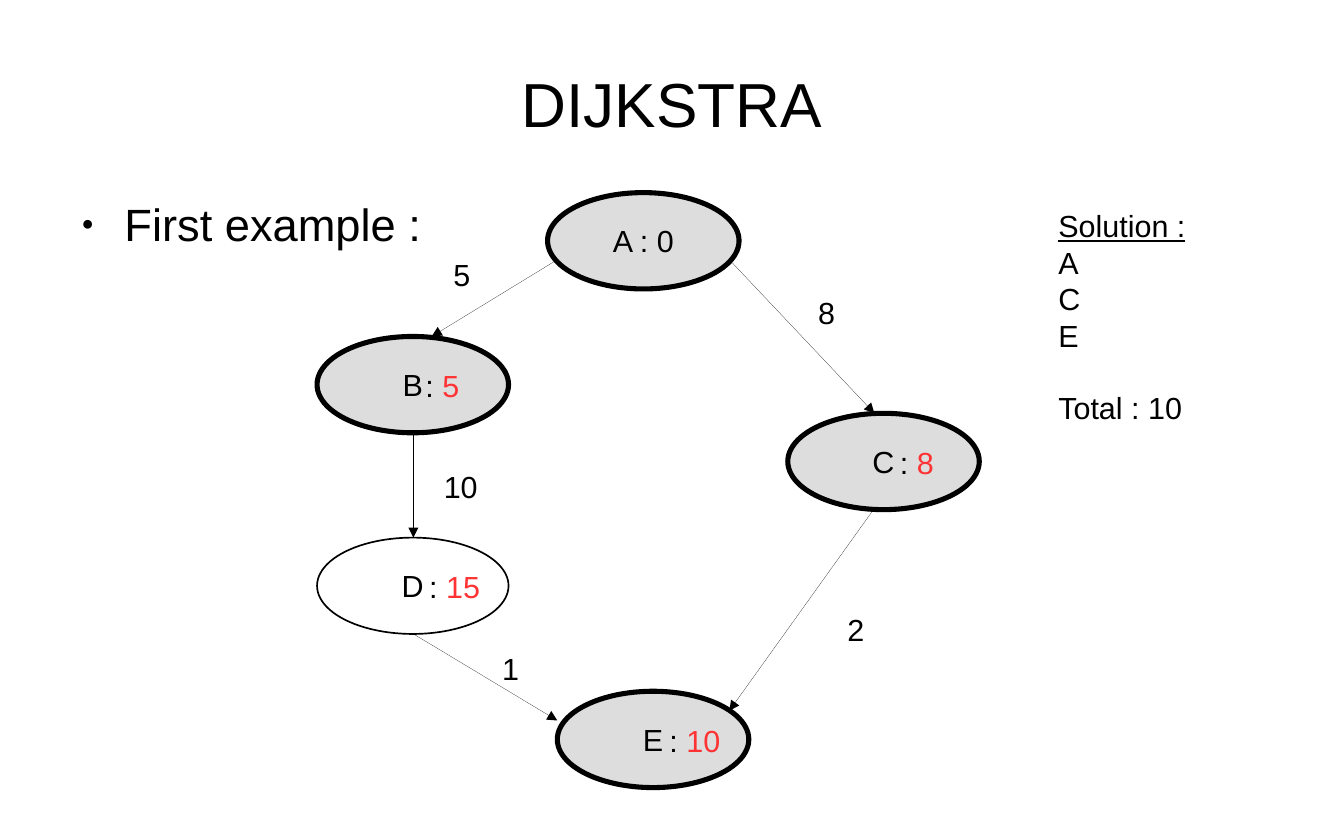
from lxml.etree import SubElement
from pptx import Presentation
from pptx.dml.color import RGBColor
from pptx.enum.shapes import MSO_CONNECTOR as CONN, MSO_SHAPE as SHAPE
from pptx.enum.text import MSO_ANCHOR as ANCHOR, MSO_AUTO_SIZE as AUTO, PP_ALIGN as ALIGN
from pptx.oxml.ns import qn
from pptx.util import Inches, Pt

BLACK = RGBColor(0x00, 0x00, 0x00)
WHITE = RGBColor(0xFF, 0xFF, 0xFF)
GRAY = RGBColor(0xDD, 0xDD, 0xDD)
RED = RGBColor(0xFF, 0x33, 0x33)


def add_run(p, text, size=18, color=BLACK, underline=None):
    r = p.add_run()
    r.text = text
    r.font.name = "Arial"
    r.font.size = Pt(size)
    r.font.color.rgb = color
    r.font.underline = underline
    return r


class GraphSlide:
    node_w, node_h = 1.57, 0.79

    def __init__(self, prs):
        self.slide = prs.slides.add_slide(prs.slide_layouts[6])
        self.shapes = self.slide.shapes

    def frame(self, sp, inset_x, inset_y, wrap=False, anchor=ANCHOR.TOP):
        tf = sp.text_frame
        tf.margin_left = tf.margin_right = Inches(inset_x)
        tf.margin_top = tf.margin_bottom = Inches(inset_y)
        tf.word_wrap = wrap
        tf.vertical_anchor = anchor
        return tf

    def box(self, x, y, w, h, inset_x=0.1, inset_y=0.05, **layout):
        sp = self.shapes.add_textbox(Inches(x), Inches(y), Inches(w), Inches(h))
        return self.frame(sp, inset_x, inset_y, **layout)

    def node(self, x, y, text, visited=True):
        sp = self.shapes.add_shape(SHAPE.OVAL, Inches(x), Inches(y),
                                   Inches(self.node_w), Inches(self.node_h))
        sp.shadow.inherit = False
        sp.fill.solid()
        sp.fill.fore_color.rgb = GRAY if visited else WHITE
        sp.line.color.rgb = BLACK
        sp.line.width = Pt(3 if visited else 1)
        p = self.frame(sp, 0.11, 0.06, anchor=ANCHOR.MIDDLE).paragraphs[0]
        p.alignment = ALIGN.CENTER
        add_run(p, text)

    def edge(self, x1, y1, x2, y2):
        c = self.shapes.add_connector(CONN.STRAIGHT, Inches(x1), Inches(y1),
                                      Inches(x2), Inches(y2))
        c.line.color.rgb = BLACK
        ln = c.line._get_or_add_ln()
        ln.set("w", "0")
        SubElement(ln, qn("a:tailEnd"), type="triangle")
        SubElement(c._element.spPr, qn("a:effectLst"))

    def label(self, x, y, w, *runs):
        tf = self.box(x, y, w, 0.38)
        tf.auto_size = AUTO.SHAPE_TO_FIT_TEXT
        for text, color in runs:
            add_run(tf.paragraphs[0], text, color=color)

    def title(self, text):
        p = self.box(0.55, 0.27, 9.92, 1.15, 0, 0, wrap=True,
                     anchor=ANCHOR.MIDDLE).paragraphs[0]
        p.alignment = ALIGN.CENTER
        add_run(p, text, size=36.7)

    def bullet(self, text):
        p = self.box(0.55, 1.61, 9.92, 4, 0, 0, wrap=True).paragraphs[0]
        pPr = p._p.get_or_add_pPr()
        pPr.set("marL", str(Inches(0.47)))
        pPr.set("indent", str(Inches(-0.35)))
        color = SubElement(pPr, qn("a:buClr"))
        SubElement(color, qn("a:srgbClr"), val=str(BLACK))
        SubElement(pPr, qn("a:buSzPct"), val="45000")
        SubElement(pPr, qn("a:buFont"), typeface="Arial")
        SubElement(pPr, qn("a:buChar"), char="●")
        add_run(p, text, size=26.7)

    def solution(self, heading, steps, total):
        tf = self.box(8.58, 1.65, 2.13, 1.78, wrap=True)
        add_run(tf.paragraphs[0], heading, underline=True)
        for step in steps:
            add_run(tf.add_paragraph(), step)
        p = tf.add_paragraph()
        p.space_before = Pt(21)
        add_run(p, total)


def main():
    prs = Presentation()
    prs.slide_width, prs.slide_height = Inches(11.02), Inches(6.89)
    s = GraphSlide(prs)
    s.title("DIJKSTRA")
    s.bullet("First example :")

    for x, y, text, visited in [
        (4.49, 1.58, "A : 0", True),
        (2.6, 2.76, "B", True),
        (6.46, 3.39, "C", True),
        (2.6, 4.41, "D", False),
        (4.57, 5.67, "E", True),
    ]:
        s.node(x, y, text, visited)

    for ends in [
        (4.57, 2.13, 3.54, 2.76),
        (3.39, 3.54, 3.39, 4.41),
        (3.39, 5.2, 4.57, 5.91),
        (7.17, 4.17, 5.98, 5.83),
        (5.98, 2.13, 7.17, 3.39),
    ]:
        s.edge(*ends)

    for x, y, w, weight in [
        (3.62, 2.05, 0.34, "5"),
        (6.61, 2.36, 0.34, "8"),
        (3.54, 3.79, 0.48, "10"),
        (6.85, 4.96, 0.34, "2"),
        (4.02, 5.28, 0.34, "1"),
    ]:
        s.label(x, y, w, (weight, BLACK))

    for x, y, w, distance in [
        (3.39, 2.96, 0.5, "5"),
        (7.28, 3.59, 0.5, "8"),
        (3.42, 4.61, 0.65, "15"),
        (5.39, 5.87, 0.65, "10"),
    ]:
        s.label(x, y, w, (": ", BLACK), (distance, RED))

    s.solution("Solution :", "ACE", "Total : 10")
    prs.save("out.pptx")


if __name__ == "__main__":
    main()
